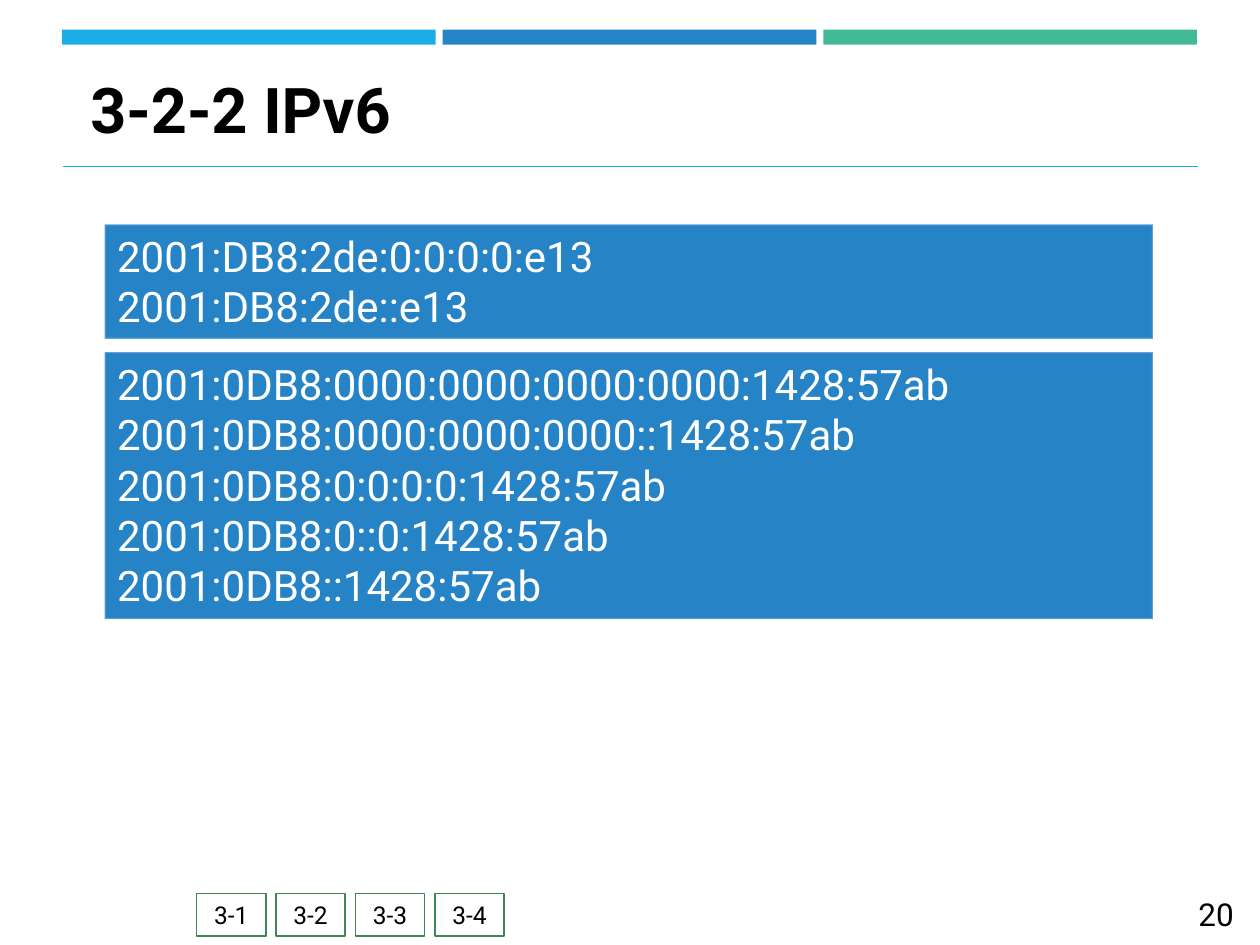
from lxml.etree import SubElement
from pptx import Presentation
from pptx.dml.color import RGBColor
from pptx.enum.shapes import MSO_CONNECTOR as Link, MSO_SHAPE as Form
from pptx.enum.text import MSO_ANCHOR as Anchor, PP_ALIGN as Align
from pptx.oxml.ns import qn
from pptx.util import Pt

FONT = "Roboto"
BLUE = "2683C6"


def color(code):
    return RGBColor.from_string(code)


def add_rect(slide, box, fill, line=None, width=1):
    rect = slide.shapes.add_shape(Form.RECTANGLE, *map(Pt, box))
    rect.shadow.inherit = False
    rect.fill.solid()
    rect.fill.fore_color.rgb = color(fill)
    if line:
        rect.line.color.rgb = color(line)
        rect.line.width = Pt(width)
    else:
        rect.line.fill.background()
    return rect


def set_text(shape, text, size, ink="000000", align=Align.LEFT,
             anchor=Anchor.MIDDLE, bold=False):
    frame = shape.text_frame
    frame.word_wrap = True
    frame.vertical_anchor = anchor
    frame.text = text
    for para in frame.paragraphs:
        para.alignment = align
        for run in para.runs:
            run.font.name = FONT
            run.font.size = Pt(size)
            run.font.bold = bold
            run.font.color.rgb = color(ink)


def add_label(slide, box, text, size, **style):
    label = slide.shapes.add_textbox(*map(Pt, box))
    set_text(label, text, size, **style)


def add_bars(slide, box, fills, gap):
    left, top, width, height = box
    wide = (width - gap * (len(fills) - 1)) / len(fills)
    for i, fill in enumerate(fills):
        add_rect(slide, (left + i * (wide + gap), top, wide, height), fill)


def add_head(slide, box, title):
    left, top, width, height = box
    add_bars(slide, (left, top, width, 8.5), ("1CADE4", BLUE, "42BA97"), 4)
    base = top + height
    rule = slide.shapes.add_connector(
        Link.STRAIGHT, Pt(left + 0.5), Pt(base), Pt(left + width + 0.5), Pt(base))
    rule.line.color.rgb = color("1CADE4")
    rule.line.width = Pt(0.75)
    SubElement(rule._element.spPr, qn("a:effectLst"))
    add_label(slide, (left + 9.2, top + 16, width - 18, 58), title, 36, bold=True)


def add_panel(slide, box, lines):
    panel = add_rect(slide, box, BLUE, "FFFFFF", 1.2)
    tint = panel.line._ln.find(".//" + qn("a:srgbClr"))
    SubElement(tint, qn("a:alpha")).set("val", "25000")
    set_text(panel, "\n".join(lines), 24, ink="FFFFFF", anchor=Anchor.TOP)


def add_tabs(slide, box, names, step):
    left, top, width, height = box
    for i, name in enumerate(names):
        tab = add_rect(slide, (left + i * step, top, width, height),
                       "FFFFFF", "3E8853", 0.85)
        tab.text_frame.margin_left = tab.text_frame.margin_right = 0
        set_text(tab, name, 14, align=Align.CENTER)


def main():
    deck = Presentation()
    deck.slide_width, deck.slide_height = Pt(720), Pt(540)
    slide = deck.slides.add_slide(deck.slide_layouts[6])
    add_head(slide, (35.4, 17, 648.6, 78), "3-2-2 IPv6")
    add_tabs(slide, (112.3, 510.5, 39.6, 24.5), ("3-1", "3-2", "3-3", "3-4"), 45.4)
    add_label(slide, (651.6, 507.6, 60.5, 28.8), "20", 18, align=Align.RIGHT)
    add_panel(slide, (59.8, 128.2, 599, 65.4), (
        "2001:DB8:2de:0:0:0:0:e13",
        "2001:DB8:2de::e13"))
    add_panel(slide, (59.8, 201.2, 599, 152.6), (
        "2001:0DB8:0000:0000:0000:0000:1428:57ab",
        "2001:0DB8:0000:0000:0000::1428:57ab",
        "2001:0DB8:0:0:0:0:1428:57ab",
        "2001:0DB8:0::0:1428:57ab",
        "2001:0DB8::1428:57ab"))
    deck.save("out.pptx")


if __name__ == "__main__":
    main()
